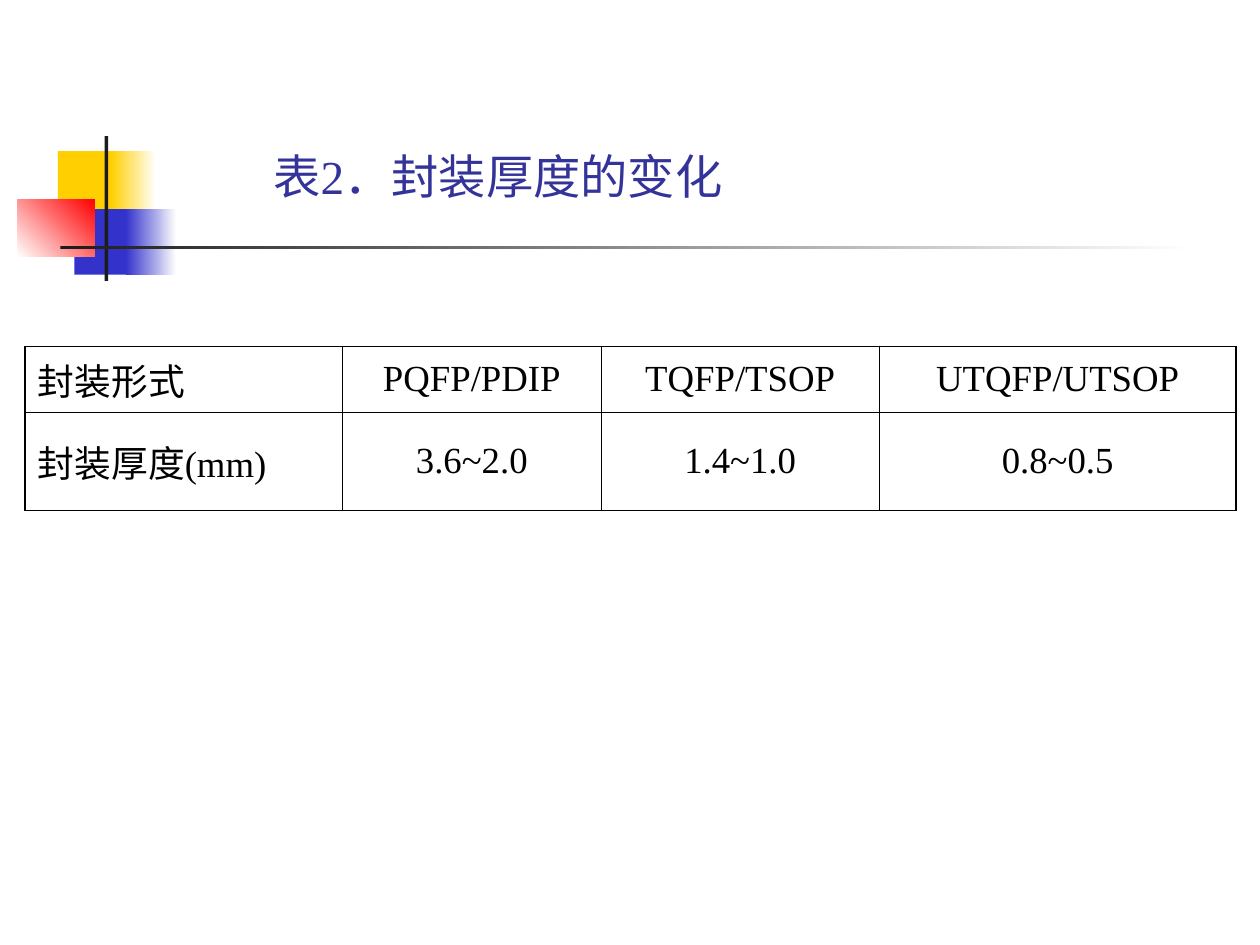
from lxml import etree
from pptx import Presentation
from pptx.dml.color import RGBColor
from pptx.enum import shapes, text
from pptx.oxml import ns
from pptx.util import Inches, Pt

FONT = "Times New Roman"
TITLE = "表2．封装厚度的变化"
ROWS = [
    ("封装形式", "PQFP/PDIP", "TQFP/TSOP", "UTQFP/UTSOP"),
    ("封装厚度(mm)", "3.6~2.0", "1.4~1.0", "0.8~0.5"),
]
COLUMN_WIDTHS = (2.52, 2.05, 2.21, 2.83)
ROW_HEIGHTS = (0.52, 0.78)
TABLE_LEFT, TABLE_TOP = 0.2, 2.75
OUTER_LINE, INNER_LINE = 1.08, 0.45
ORNAMENTS = [
    ((0.46, 1.2, 0.48, 0.52), ("FFCF01",), 0),
    ((0.88, 1.2, 0.36, 0.52), ("FFCF01", "FFFFFF"), 0),
    ((0.59, 1.66, 0.46, 0.52), ("3333CC",), 0),
    ((1, 1.66, 0.4, 0.52), ("3333CC", "FFFFFF"), 0),
    ((0.14, 1.58, 0.61, 0.46), ("FFFFFF", "FF0000"), 45),
    ((0.83, 1.08, 0.03, 1.15), ("1C1C1C",), 0),
    ((0.48, 1.95, 9, 0.03), ("1C1C1C", "FFFFFF"), 0),
]


def rgb(value):
    return RGBColor.from_string(value)


def format_paragraph(paragraph, size, color, alignment):
    paragraph.alignment = alignment
    for run in paragraph.runs:
        run.font.name = FONT
        run.font.size = Pt(size)
        run.font.color.rgb = rgb(color)


def add_ornament(slide, box, colors, angle):
    shape = slide.shapes.add_shape(
        shapes.MSO_SHAPE.RECTANGLE, *(Inches(value) for value in box))
    shape.shadow.inherit = False
    shape.line.fill.background()
    if len(colors) == 1:
        shape.fill.solid()
        shape.fill.fore_color.rgb = rgb(colors[0])
        return
    shape.fill.gradient()
    shape.fill.gradient_angle = angle
    for stop, color in zip(shape.fill.gradient_stops, colors):
        stop.color.rgb = rgb(color)


def add_border(cell, side, width):
    properties = cell._tc.get_or_add_tcPr()
    line = etree.SubElement(properties, ns.qn(f"a:ln{side}"), w=str(Pt(width)))
    fill = etree.SubElement(line, ns.qn("a:solidFill"))
    etree.SubElement(fill, ns.qn("a:srgbClr"), val="000000")


def add_title(slide):
    title = slide.shapes.title
    title.left, title.top = Inches(2.07), Inches(1.08)
    title.width, title.height = Inches(5.75), Inches(0.63)
    title.text_frame.text = TITLE
    title.text_frame.vertical_anchor = text.MSO_ANCHOR.MIDDLE
    format_paragraph(title.text_frame.paragraphs[0], 27, "333399", text.PP_ALIGN.LEFT)


def add_thickness_table(slide):
    last_row, last_column = len(ROWS) - 1, len(COLUMN_WIDTHS) - 1
    table = slide.shapes.add_table(
        len(ROWS), len(COLUMN_WIDTHS), Inches(TABLE_LEFT), Inches(TABLE_TOP),
        Inches(sum(COLUMN_WIDTHS)), Inches(sum(ROW_HEIGHTS))).table
    table.first_row = table.horz_banding = False
    for column, width in zip(table.columns, COLUMN_WIDTHS):
        column.width = Inches(width)
    for row, height in zip(table.rows, ROW_HEIGHTS):
        row.height = Inches(height)
    for r, values in enumerate(ROWS):
        for c, value in enumerate(values):
            cell = table.cell(r, c)
            cell.text_frame.text = value
            cell.vertical_anchor = text.MSO_ANCHOR.MIDDLE
            alignment = text.PP_ALIGN.CENTER if c else text.PP_ALIGN.LEFT
            format_paragraph(cell.text_frame.paragraphs[0], 21, "000000", alignment)
            edges = {"L": c == 0, "R": c == last_column, "T": r == 0, "B": r == last_row}
            for side, is_outer in edges.items():
                add_border(cell, side, OUTER_LINE if is_outer else INNER_LINE)
            cell.fill.background()


def main():
    presentation = Presentation()
    presentation.slide_width, presentation.slide_height = Inches(10), Inches(7.5)
    slide = presentation.slides.add_slide(presentation.slide_layouts[5])
    for ornament in ORNAMENTS:
        add_ornament(slide, *ornament)
    add_title(slide)
    add_thickness_table(slide)
    presentation.save("out.pptx")


if __name__ == "__main__":
    main()
